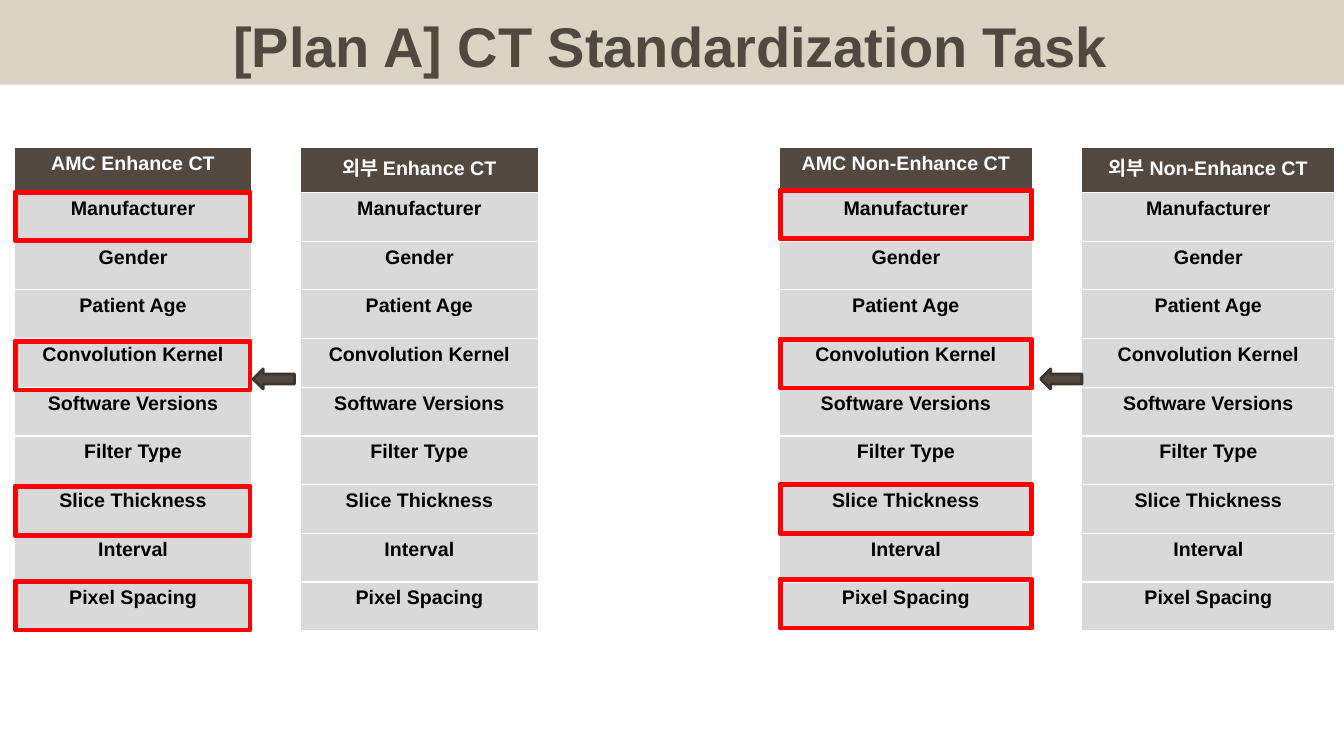
import dataclasses

import pptx
import pptx.dml.color
import pptx.enum.shapes
import pptx.enum.text
import pptx.slide
import pptx.util

Inches = pptx.util.Inches
Pt = pptx.util.Pt
Shape = pptx.enum.shapes.MSO_SHAPE

BROWN = "53483F"
DARK_BROWN = "3D352F"
BEIGE = "DBD3C4"
GREY = "D9D9D9"
RED = "FF0000"
BLACK = "000000"
WHITE = "FFFFFF"

FIELDS = ["Manufacturer", "Gender", "Patient Age", "Convolution Kernel",
          "Software Versions", "Filter Type", "Slice Thickness", "Interval",
          "Pixel Spacing"]
TABLE_TOP = 1.46
TABLE_HEIGHT = 4.8
HEADER_HEIGHT = 0.45
FIELD_HEIGHT = (TABLE_HEIGHT - HEADER_HEIGHT) / len(FIELDS)

HIGHLIGHT_OFFSETS = [0, 1.48, 2.92, 3.86]
HIGHLIGHT_HEIGHT = 0.5


@dataclasses.dataclass
class Comparison:
    """An AMC table, the outside table that points to it, and its highlights."""
    name: str
    amc_left: float
    outside_left: float
    table_width: float
    arrow_left: float
    highlight_top: float
    highlight_width: float


COMPARISONS = [
    Comparison("Enhance CT", 0.14, 2.98, 2.36, 2.51, 1.9, 2.35),
    Comparison("Non-Enhance CT", 7.73, 10.73, 2.51, 10.32, 1.88, 2.51),
]


def colour(value: str) -> pptx.dml.color.RGBColor:
    return pptx.dml.color.RGBColor.from_string(value)


def paint(item, value: str) -> None:
    """Give a shape or a cell a solid fill."""
    item.fill.solid()
    item.fill.fore_color.rgb = colour(value)


def write(frame, text: str, size: float, text_colour: str) -> None:
    frame.text = text
    para = frame.paragraphs[0]
    para.alignment = pptx.enum.text.PP_ALIGN.CENTER
    span = para.runs[0]
    font_format = {"name": "Arial", "size": Pt(size), "bold": True}
    for name, value in font_format.items():
        setattr(span.font, name, value)
    span.font.color.rgb = colour(text_colour)


def add_title(page: pptx.slide.Slide, text: str) -> None:
    title = page.shapes.title
    placement = {"left": Inches(-0.04), "top": Inches(-0.01),
                 "width": Inches(13.37), "height": Inches(0.85)}
    for name, value in placement.items():
        setattr(title, name, value)
    paint(title, BEIGE)
    write(title.text_frame, text, 40, BROWN)
    title.text_frame.paragraphs[0].line_spacing = 1.11
    frame_format = {"auto_size": pptx.enum.text.MSO_AUTO_SIZE.NONE,
                    "vertical_anchor": pptx.enum.text.MSO_ANCHOR.MIDDLE}
    for name, value in frame_format.items():
        setattr(title.text_frame, name, value)


def add_field_table(page: pptx.slide.Slide, heading: str, left: float,
                    width: float) -> None:
    labels = [heading, *FIELDS]
    table = page.shapes.add_table(
        len(labels), 1, Inches(left), Inches(TABLE_TOP),
        Inches(width), Inches(TABLE_HEIGHT)).table
    table.horz_banding = False
    for index, label in enumerate(labels):
        is_heading = index == 0
        table.rows[index].height = Inches(
            HEADER_HEIGHT if is_heading else FIELD_HEIGHT)
        cell = table.cell(index, 0)
        paint(cell, BROWN if is_heading else GREY)
        write(cell.text_frame, label, 14, WHITE if is_heading else BLACK)


def add_outlined(page: pptx.slide.Slide, kind: Shape, left: float, top: float,
                 width: float, height: float, line_colour: str):
    shape = page.shapes.add_shape(
        kind, Inches(left), Inches(top), Inches(width), Inches(height))
    shape.shadow.inherit = False
    paint(shape, BROWN)
    shape.line.color.rgb = colour(line_colour)
    shape.line.width = Pt(2)
    return shape


def add_comparison(page: pptx.slide.Slide, comparison: Comparison) -> None:
    add_field_table(page, f"AMC {comparison.name}", comparison.amc_left,
                    comparison.table_width)
    add_field_table(page, f"외부 {comparison.name}", comparison.outside_left,
                    comparison.table_width)
    add_outlined(page, Shape.LEFT_ARROW, comparison.arrow_left, 3.66,
                 0.41, 0.2, DARK_BROWN)
    for offset in HIGHLIGHT_OFFSETS:
        highlight = add_outlined(
            page, Shape.FRAME, comparison.amc_left,
            comparison.highlight_top + offset, comparison.highlight_width,
            HIGHLIGHT_HEIGHT, RED)
        highlight.adjustments[0] = 0.04


def main() -> None:
    deck = pptx.Presentation()
    deck.slide_width = Inches(13.33)
    deck.slide_height = Inches(7.5)
    page = deck.slides.add_slide(deck.slide_layouts.get_by_name("Title Only"))
    add_title(page, "[Plan A] CT Standardization Task")
    for comparison in COMPARISONS:
        add_comparison(page, comparison)
    deck.save("out.pptx")


if __name__ == "__main__":
    main()
